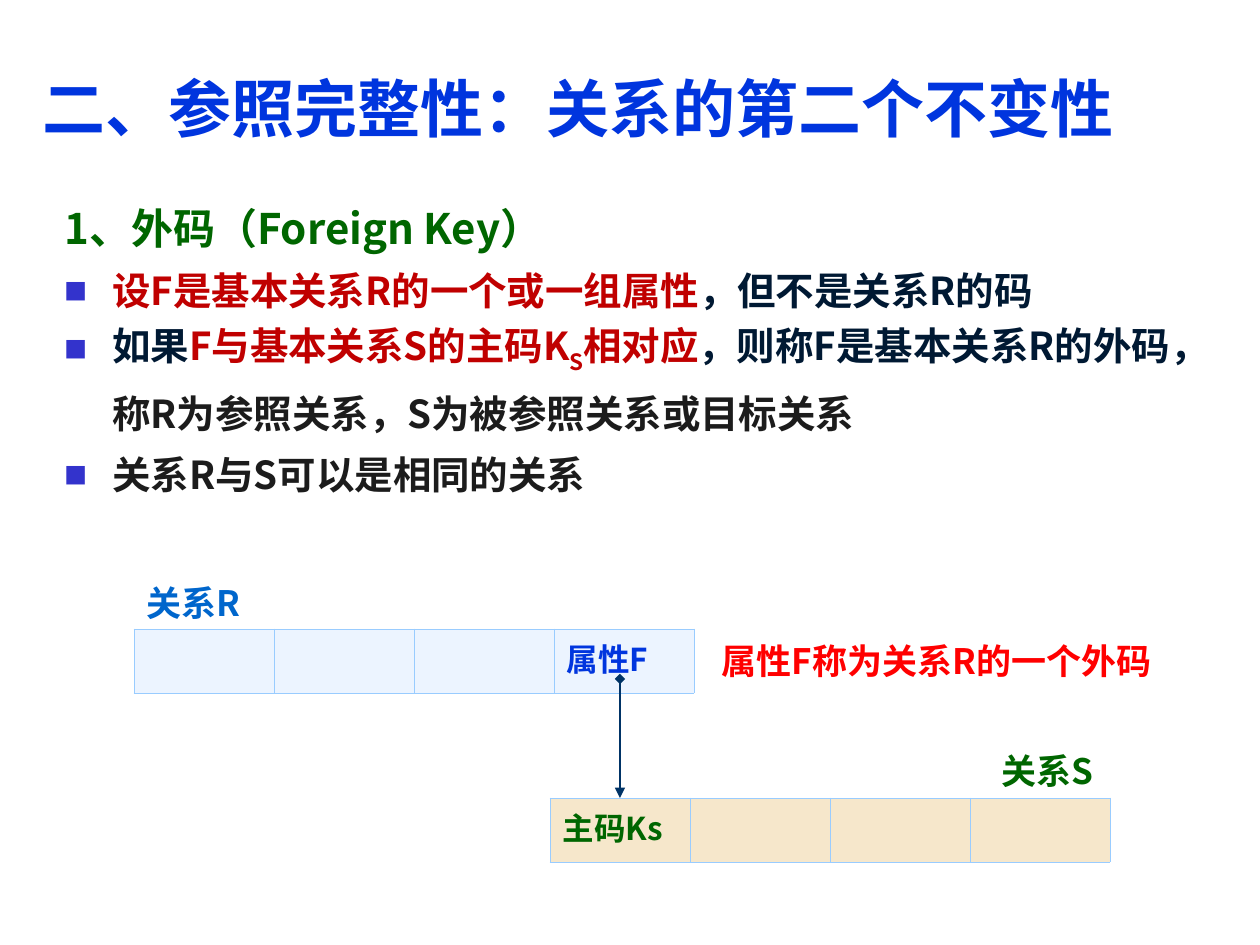
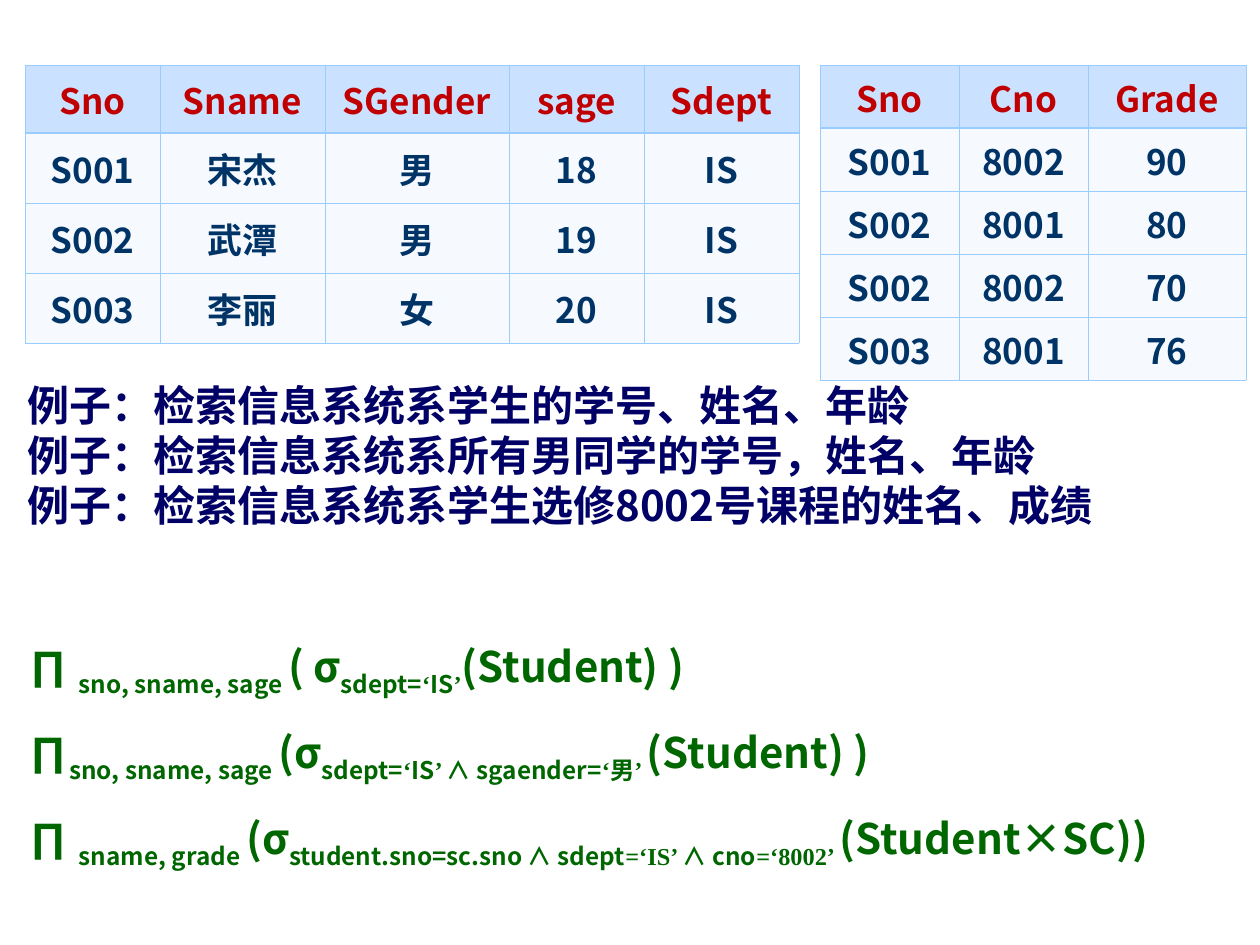
from lxml.etree import SubElement
from pptx import Presentation
from pptx.dml.color import RGBColor
from pptx.enum.shapes import MSO_CONNECTOR
from pptx.enum.text import MSO_ANCHOR, MSO_AUTO_SIZE, PP_ALIGN
from pptx.oxml.ns import qn
from pptx.util import Emu, Pt

SANS, SERIF = "Noto Sans CJK SC", "Times New Roman"
BLUE = RGBColor(0x00, 0x35, 0xDE)
LABEL_BLUE = RGBColor(0x00, 0x66, 0xCC)
BULLET_BLUE = RGBColor(0x33, 0x33, 0xCC)
NAVY = RGBColor(0x00, 0x00, 0x66)
DARK_TEAL = RGBColor(0x00, 0x33, 0x66)
MIDNIGHT = RGBColor(0x00, 0x19, 0x33)
BLACK = RGBColor(0x1C, 0x1C, 0x1C)
GREEN = RGBColor(0x00, 0x66, 0x00)
DARK_RED = RGBColor(0xC0, 0x00, 0x00)
RED = RGBColor(0xFF, 0x00, 0x00)
GRID_BLUE = RGBColor(0x99, 0xCC, 0xFF)
HEADER_FILL = RGBColor(0xCA, 0xE2, 0xFF)
ROW_FILL = RGBColor(0xF6, 0xFA, 0xFF)
RELATION_R_FILL = RGBColor(0xEC, 0xF4, 0xFF)
RELATION_S_FILL = RGBColor(0xF6, 0xE7, 0xCB)

PX_PER_INCH = 126
THIN, THICK = 0.45, 1.47
INDENT = 48
TITLE_ONLY, BLANK = 5, 6


def px(length):
    return Emu(round(length * 914400 / PX_PER_INCH))


def set_attributes(target, values):
    for name, value in values.items():
        setattr(target, name, value)


def sub(text, font=SANS):
    """Return a subscript run."""
    return text, {"font": font, "subscript": True}


class SlideBuilder:
    def __init__(self):
        self.presentation = Presentation()
        set_attributes(self.presentation, {"slide_width": px(1260), "slide_height": px(945)})
        self.slide = None

    def new_slide(self, layout):
        self.slide = self.presentation.slides.add_slide(self.presentation.slide_layouts[layout])

    def add_run(self, paragraph, text, size, color, font=SANS, subscript=False):
        run = paragraph.add_run()
        run.text = text
        set_attributes(run.font, {"size": Pt(size), "bold": True, "name": font})
        run.font.color.rgb = color
        properties = run.font._element
        SubElement(properties, qn("a:ea")).set("typeface", font)
        if subscript:
            properties.set("baseline", "-25000")

    def fill_frame(self, frame, paragraphs, size, color, bullets=(), **paragraph_format):
        """Write paragraphs, each a text or a list of (text, run format) pairs."""
        for index, runs in enumerate(paragraphs):
            paragraph = frame.add_paragraph() if index else frame.paragraphs[0]
            set_attributes(paragraph, paragraph_format)
            if index in bullets:
                self.add_bullet(paragraph)
            for text, run_format in [(runs, {})] if isinstance(runs, str) else runs:
                self.add_run(paragraph, text, **{"size": size, "color": color, **run_format})

    def add_bullet(self, paragraph):
        properties = paragraph._p.get_or_add_pPr()
        properties.set("marL", str(px(INDENT)))
        properties.set("indent", str(-px(INDENT)))
        color = SubElement(properties, qn("a:buClr"))
        SubElement(color, qn("a:srgbClr")).set("val", str(BULLET_BLUE))
        SubElement(properties, qn("a:buSzPct")).set("val", "60000")
        SubElement(properties, qn("a:buFont")).set("typeface", SANS)
        SubElement(properties, qn("a:buChar")).set("char", "■")

    def title(self, text):
        shape = self.slide.shapes.title
        set_attributes(shape, {"left": px(30), "top": px(25), "width": px(1216), "height": px(126)})
        set_attributes(shape.text_frame, {
            "word_wrap": True, "vertical_anchor": MSO_ANCHOR.MIDDLE,
            "auto_size": MSO_AUTO_SIZE.SHAPE_TO_FIT_TEXT})
        self.fill_frame(shape.text_frame, [text], 36, BLUE,
                        alignment=PP_ALIGN.LEFT, line_spacing=1.5)

    def text(self, box, paragraphs, size, color, anchor=MSO_ANCHOR.TOP, **options):
        shape = self.slide.shapes.add_textbox(*map(px, box))
        set_attributes(shape.text_frame, {"word_wrap": True, "vertical_anchor": anchor})
        self.fill_frame(shape.text_frame, paragraphs, size, color, **options)

    def label(self, box, text, color, alignment=PP_ALIGN.LEFT):
        self.text(box, [text], 20, color, MSO_ANCHOR.BOTTOM, alignment=alignment)

    def table(self, left, top, column_widths, row_heights):
        shape = self.slide.shapes.add_table(
            len(row_heights), len(column_widths), px(left), px(top),
            px(sum(column_widths)), px(sum(row_heights)))
        table = shape.table
        set_attributes(table, {"first_row": False, "horz_banding": False})
        for column, width in zip(table.columns, column_widths):
            column.width = px(width)
        for row, height in zip(table.rows, row_heights):
            row.height = px(height)
        return table

    def style_cell(self, cell, fill, top=THIN, bottom=THIN):
        properties = cell._tc.get_or_add_tcPr()
        for side, width in {"L": THIN, "R": THIN, "T": top, "B": bottom}.items():
            line = SubElement(properties, qn(f"a:ln{side}"), w=str(Pt(width)))
            solid = SubElement(line, qn("a:solidFill"))
            SubElement(solid, qn("a:srgbClr")).set("val", str(GRID_BLUE))
        cell.fill.solid()
        cell.fill.fore_color.rgb = fill

    def relation_bar(self, left, top, key_column, key_text, key_color, fill):
        """Draw a relation as four attributes, one of them named."""
        table = self.table(left, top, [140] * 4, [64])
        for cell in table.iter_cells():
            self.style_cell(cell, fill)
        self.fill_frame(table.cell(0, key_column).text_frame, [key_text], 18, key_color)

    def data_table(self, left, top, column_widths, row_heights, rows):
        table = self.table(left, top, column_widths, row_heights)
        for row_index, values in enumerate(rows):
            header = row_index == 0
            for column_index, value in enumerate(values):
                cell = table.cell(row_index, column_index)
                self.style_cell(cell, HEADER_FILL if header else ROW_FILL,
                                top=THICK if row_index == 1 else THIN,
                                bottom=THICK if header else THIN)
                cell.vertical_anchor = MSO_ANCHOR.MIDDLE
                self.fill_frame(cell.text_frame, [value], 20,
                                DARK_RED if header else DARK_TEAL, alignment=PP_ALIGN.CENTER)

    def arrow(self, x, top, bottom):
        connector = self.slide.shapes.add_connector(
            MSO_CONNECTOR.STRAIGHT, px(x), px(top), px(x), px(bottom))
        connector.line.width = Pt(0.75)
        connector.line.color.rgb = DARK_TEAL
        line = connector.line._get_or_add_ln()
        SubElement(line, qn("a:headEnd")).set("type", "diamond")
        SubElement(line, qn("a:tailEnd")).set("type", "triangle")
        SubElement(connector._element.spPr, qn("a:effectLst"))


def foreign_key_slide(builder):
    builder.new_slide(TITLE_ONLY)
    builder.title("二、参照完整性：关系的第二个不变性")
    red, midnight = {"color": DARK_RED}, {"color": MIDNIGHT}
    builder.text((52, 185, 1173, 338), [
        [("1、外码（Foreign Key）", {"size": 24, "color": GREEN})],
        [("设F是基本关系R的一个或一组属性", red), ("，但不是关系R的码", midnight)],
        [("如果", midnight), ("F与基本关系S的主码K", red),
         ("S", {**red, "subscript": True}), ("相对应", red),
         ("，则称F是基本关系R的外码，", midnight),
         ("称R为参照关系，S为被参照关系或目标关系", {})],
        "关系R与S可以是相同的关系",
    ], 22, BLACK, bullets=(1, 2, 3), line_spacing=Pt(35))
    builder.relation_bar(134, 629, 3, "属性F", BLUE, RELATION_R_FILL)
    builder.relation_bar(550, 798, 0, "主码Ks", GREEN, RELATION_S_FILL)
    builder.label((134, 561, 139, 69), "关系R", LABEL_BLUE)
    builder.label((967, 729, 139, 69), "关系S", GREEN, PP_ALIGN.RIGHT)
    builder.arrow(620, 679, 798)
    builder.label((709, 619, 536, 69), "属性F称为关系R的一个外码", RED)


def query_slide(builder):
    builder.new_slide(BLANK)
    builder.text((15, 373, 1235, 189), [
        "例子：检索信息系统系学生的学号、姓名、年龄",
        "例子：检索信息系统系所有男同学的学号，姓名、年龄",
        "例子：检索信息系统系学生选修8002号课程的姓名、成绩",
    ], 24, NAVY)
    builder.data_table(25, 65, [135, 165, 184, 135, 155], [68, 70, 70, 70], [
        ("Sno", "Sname", "SGender", "sage", "Sdept"),
        ("S001", "宋杰", "男", "18", "IS"),
        ("S002", "武潭", "男", "19", "IS"),
        ("S003", "李丽", "女", "20", "IS"),
    ])
    builder.data_table(820, 65, [139, 129, 158], [63] * 5, [
        ("Sno", "Cno", "Grade"),
        ("S001", "8002", "90"),
        ("S002", "8001", "80"),
        ("S002", "8002", "70"),
        ("S003", "8001", "76"),
    ])
    builder.text((15, 606, 1235, 271), [
        [("∏ ", {}), sub("sno, sname, sage "), ("( σ", {}), sub("sdept="),
         sub("‘", SERIF), sub("IS"), sub("’", SERIF), ("(Student) )", {})],
        [("∏", {}), sub("sno, sname, sage "), ("(σ", {}), sub("sdept="),
         sub("‘", SERIF), sub("IS"), sub("’ ", SERIF), sub("∧ sgaender="),
         sub("‘", SERIF), sub("男"), sub("’ ", SERIF), ("(Student) )", {})],
        [("∏ ", {}), sub("sname, grade "), ("(σ", {}), sub("student.sno=sc.sno ∧ sdept"),
         sub("=‘IS’ ", SERIF), sub("∧ cno"), sub("=‘8002’ ", SERIF), ("(Student×SC))", {})],
    ], 24, GREEN, line_spacing=1.5)


def main():
    builder = SlideBuilder()
    foreign_key_slide(builder)
    query_slide(builder)
    builder.presentation.save("out.pptx")


if __name__ == "__main__":
    main()
